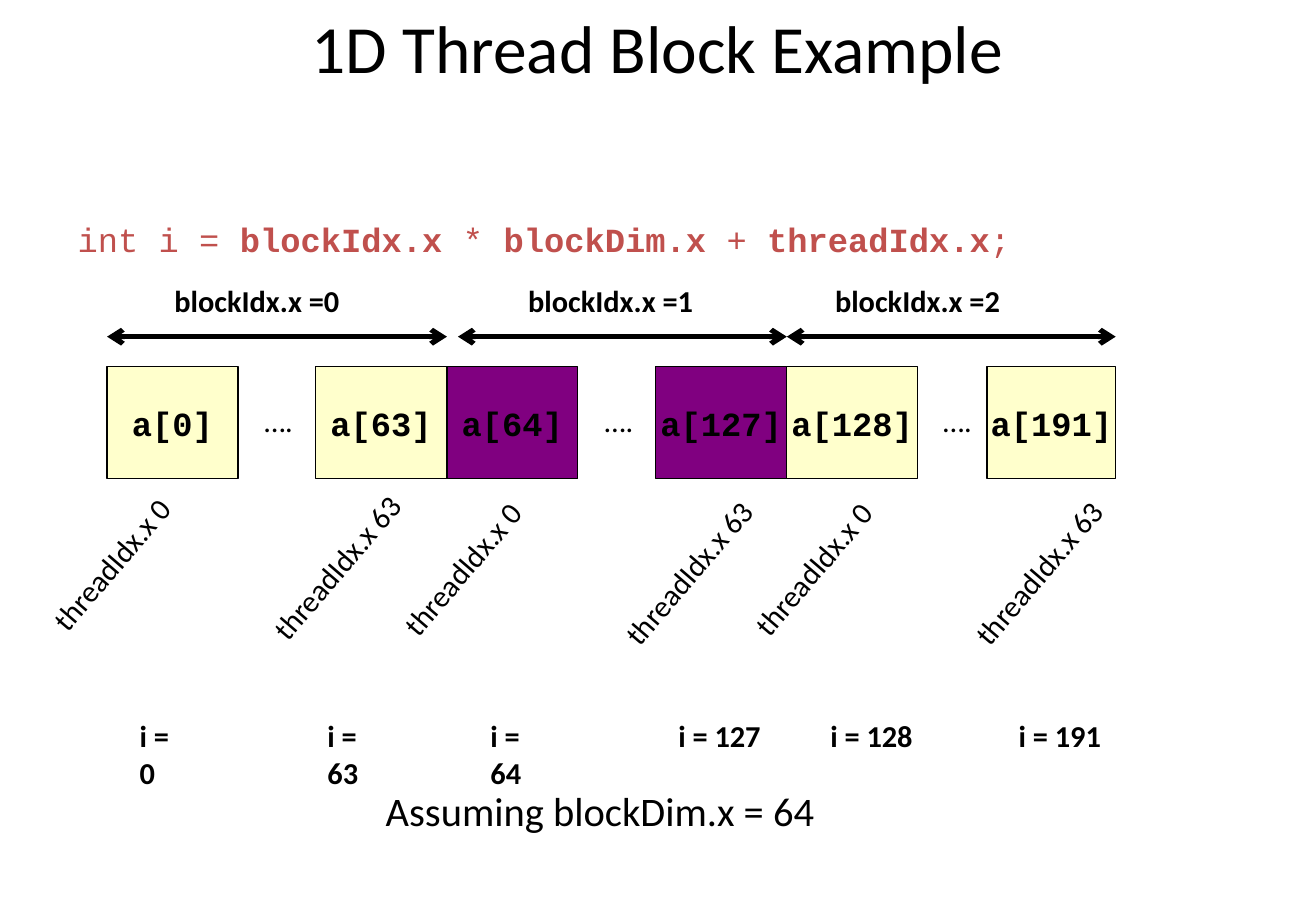
"""Build a slide showing how a 1D grid of thread blocks indexes an array."""
from dataclasses import dataclass

from lxml import etree
from pptx import Presentation
from pptx.dml.color import RGBColor
from pptx.enum.shapes import MSO_CONNECTOR, MSO_SHAPE
from pptx.enum.text import MSO_ANCHOR, MSO_AUTO_SIZE, PP_ALIGN
from pptx.oxml.ns import qn
from pptx.shapes.autoshape import Shape
from pptx.slide import Slide
from pptx.text.text import _Paragraph as Paragraph
from pptx.util import Cm, Pt

RECTANGLE = MSO_SHAPE.RECTANGLE
STRAIGHT = MSO_CONNECTOR.STRAIGHT
TOP = MSO_ANCHOR.TOP
MIDDLE = MSO_ANCHOR.MIDDLE
NO_AUTO_SIZE = MSO_AUTO_SIZE.NONE
GROW = MSO_AUTO_SIZE.SHAPE_TO_FIT_TEXT
CENTER = PP_ALIGN.CENTER
LEFT = PP_ALIGN.LEFT

BLACK = RGBColor(0x00, 0x00, 0x00)
CODE_RED = RGBColor(0xC0, 0x50, 0x4D)
CREAM = RGBColor(0xFF, 0xFF, 0xCC)
PURPLE = RGBColor(0x80, 0x00, 0x80)

SANS = "Calibri"
MONO = "Courier New"

BLOCK_DIM = 64
CELL_TOP, CELL_HEIGHT = 7.67, 2.34
ARROW_TOP = 7.04
BLOCK_LABEL_TOP = 5.77
INDEX_TOP = 14.88
LABEL_HEIGHT = 1.02
THREAD_ANGLE = 310.5

CODE_PARTS = (
    ("int i = ", False), ("blockIdx.x", True), (" * ", False),
    ("blockDim.x", True), (" + ", False), ("threadIdx.x", True), (";", False),
)


@dataclass(frozen=True)
class Cell:
    """One array element with its thread label and index label, in cm."""

    thread: int
    left: float
    width: float
    thread_left: float
    thread_top: float
    index_left: float


@dataclass(frozen=True)
class Block:
    """One thread block: its span arrow, label, dots and end cells, in cm."""

    fill: RGBColor
    arrow_left: float
    arrow_right: float
    label_left: float
    dots_left: float
    cells: tuple[Cell, Cell]


LAST_THREAD = BLOCK_DIM - 1
BLOCKS = (
    Block(CREAM, 2.24, 9.35, 3.4, 5.28, (
        Cell(0, 2.24, 2.74, 0.38, 11.28, 2.67),
        Cell(LAST_THREAD, 6.6, 2.74, 4.93, 11.35, 6.6))),
    Block(PURPLE, 9.58, 16.46, 10.8, 12.4, (
        Cell(0, 9.35, 2.74, 7.72, 11.38, 10.01),
        Cell(LAST_THREAD, 13.72, 2.74, 12.29, 11.46, 13.94))),
    Block(CREAM, 16.46, 23.34, 17.22, 19.48, (
        Cell(0, 16.46, 2.74, 15.06, 11.38, 17.12),
        Cell(LAST_THREAD, 20.65, 2.69, 19.61, 11.46, 21.06))),
)


def write_text(paragraph: Paragraph, text: str, *, size: float = 18,
               font: str = SANS, color: RGBColor = BLACK, bold: bool = False,
               align: PP_ALIGN = LEFT) -> None:
    """Append one formatted run to a paragraph."""
    paragraph.alignment = align
    run = paragraph.add_run()
    run.text = text
    run.font.size = Pt(size)
    run.font.name = font
    run.font.bold = bold
    run.font.color.rgb = color


def place(shape: Shape, left: float, top: float, width: float, height: float) -> None:
    """Move and size a placeholder, with its text at the top."""
    shape.left, shape.top = Cm(left), Cm(top)
    shape.width, shape.height = Cm(width), Cm(height)
    shape.text_frame.vertical_anchor = TOP
    shape.text_frame.auto_size = NO_AUTO_SIZE


def add_label(slide: Slide, text: str, left: float, top: float, width: float, *,
              height: float = LABEL_HEIGHT, size: float = 18, bold: bool = False,
              rotation: float = 0, wrap: bool = False) -> None:
    """Add a text box that holds one line."""
    label = slide.shapes.add_textbox(Cm(left), Cm(top), Cm(width), Cm(height))
    label.rotation = rotation
    label.text_frame.word_wrap = wrap
    label.text_frame.auto_size = GROW
    write_text(label.text_frame.paragraphs[0], text, size=size, bold=bold)


def add_span_arrow(slide: Slide, left: float, right: float) -> None:
    """Add a horizontal arrow with a head at both ends."""
    arrow = slide.shapes.add_connector(
        STRAIGHT, Cm(left), Cm(ARROW_TOP), Cm(right), Cm(ARROW_TOP))
    arrow.line.color.rgb = BLACK
    arrow.line.width = Pt(3)
    properties = arrow.element.spPr
    line = properties.find(qn("a:ln"))
    for end in ("a:headEnd", "a:tailEnd"):
        etree.SubElement(line, qn(end), type="arrow")
    etree.SubElement(properties, qn("a:effectLst"))


def add_cell(slide: Slide, cell: Cell, index: int, fill: RGBColor) -> None:
    """Add an array element with the thread and index labels below it."""
    box = slide.shapes.add_shape(
        RECTANGLE, Cm(cell.left), Cm(CELL_TOP), Cm(cell.width), Cm(CELL_HEIGHT))
    box.shadow.inherit = False
    box.fill.solid()
    box.fill.fore_color.rgb = fill
    box.line.color.rgb = BLACK
    box.line.width = Pt(0.75)
    box.text_frame.word_wrap = False
    box.text_frame.vertical_anchor = MIDDLE
    write_text(box.text_frame.paragraphs[0], f"a[{index}]",
               size=20, font=MONO, bold=True, align=CENTER)
    thread_width = 3.56 + 0.33 * len(str(cell.thread))
    add_label(slide, f"threadIdx.x {cell.thread}", cell.thread_left,
              cell.thread_top, thread_width, rotation=THREAD_ANGLE)
    index_width = 1.24 + 0.33 * len(str(index))
    add_label(slide, f"i = {index}", cell.index_left, INDEX_TOP, index_width, bold=True)


def add_block(slide: Slide, number: int, block: Block) -> None:
    """Add a thread block with its cells, arrow, label and dots."""
    for cell in block.cells:
        add_cell(slide, cell, number * BLOCK_DIM + cell.thread, block.fill)
    add_span_arrow(slide, block.arrow_left, block.arrow_right)
    add_label(slide, f"blockIdx.x ={number}", block.label_left,
              BLOCK_LABEL_TOP, 3.96, bold=True)
    add_label(slide, "….", block.dots_left, 8.28, 1.37, wrap=True)


def add_code(body: Shape) -> None:
    """Fill the body placeholder with the index formula."""
    place(body, 1.37, 4.45, 24.77, 12.57)
    paragraph = body.text_frame.paragraphs[0]
    paragraph.space_before = Pt(8)
    for text, bold in CODE_PARTS:
        write_text(paragraph, text, size=20, font=MONO, color=CODE_RED, bold=bold)
    properties = paragraph._p.get_or_add_pPr()
    properties.set("marL", str(Cm(0.95)))
    properties.set("indent", str(Cm(-0.95)))
    etree.SubElement(properties, qn("a:buNone"))


def main() -> None:
    """Build and save the presentation."""
    presentation = Presentation()
    presentation.slide_width, presentation.slide_height = Cm(27.53), Cm(19.05)
    slide = presentation.slides.add_slide(presentation.slide_layouts[1])
    title = slide.shapes.title
    place(title, 0, 0, 27.51, 2.34)
    write_text(title.text_frame.paragraphs[0], "1D Thread Block Example",
               size=40, align=CENTER)
    add_code(slide.placeholders[1])
    add_label(slide, f"Assuming blockDim.x = {BLOCK_DIM}", 7.82, 16.31, 9.47,
              height=1.27, size=24)
    for number, block in enumerate(BLOCKS):
        add_block(slide, number, block)
    presentation.save("out.pptx")


if __name__ == "__main__":
    main()
